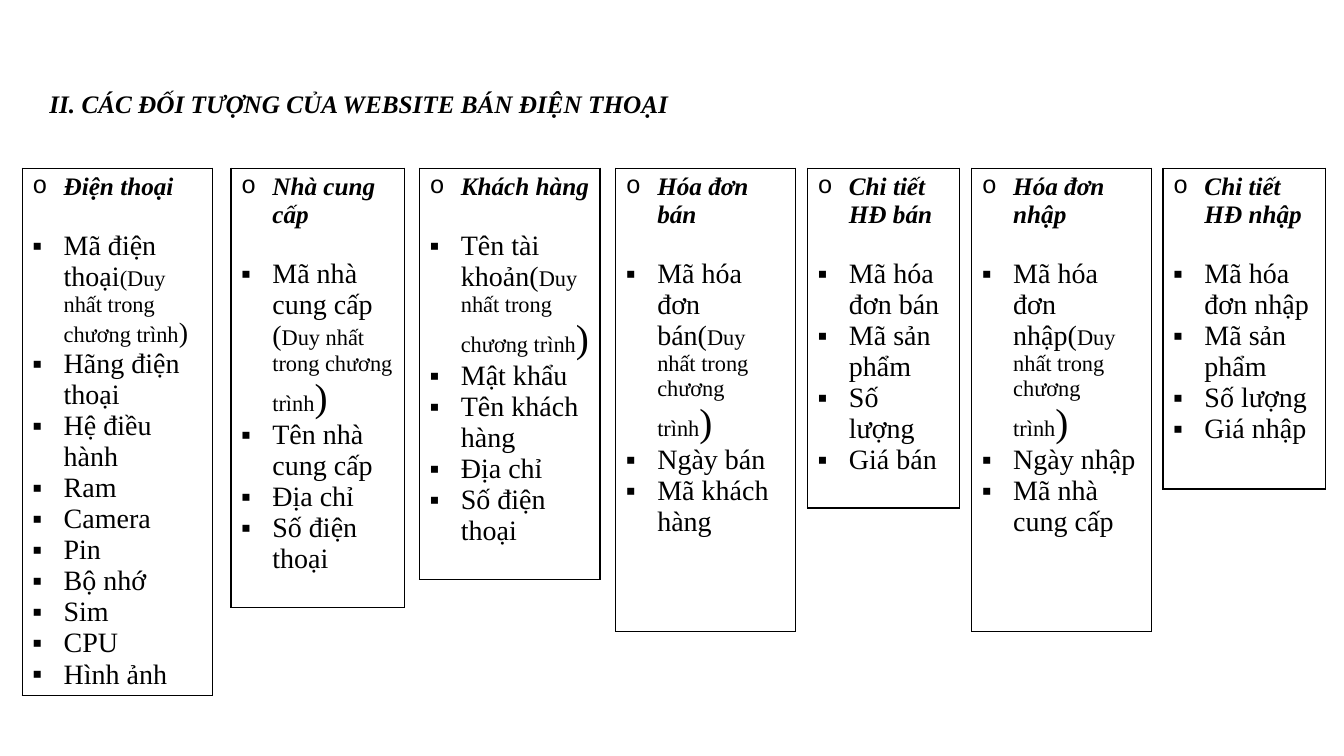
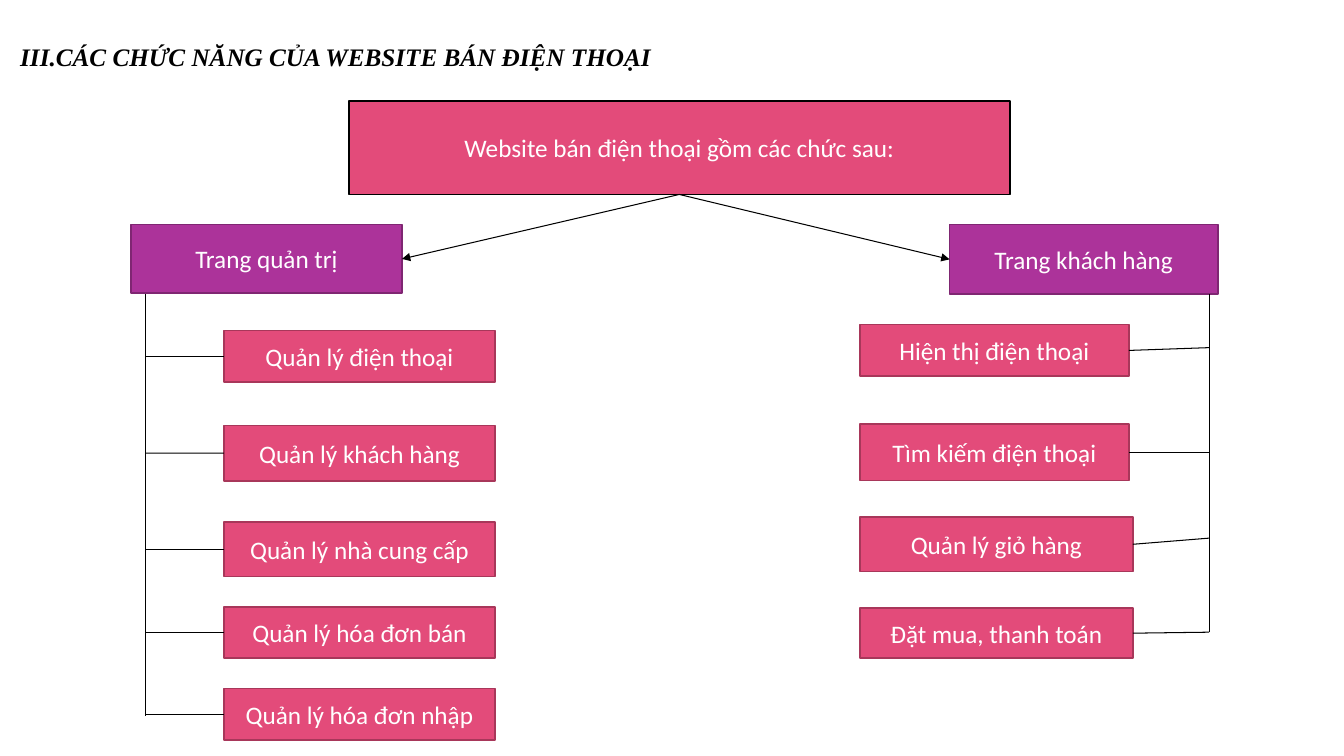
from pptx import Presentation
from pptx.dml.color import RGBColor
from pptx.enum.shapes import MSO_CONNECTOR, MSO_SHAPE
from pptx.enum.text import MSO_ANCHOR, MSO_AUTO_SIZE, PP_ALIGN
from pptx.oxml.ns import qn
from pptx.util import Cm, Pt
from lxml.etree import SubElement

COLORS = {
    "black": "000000",
    "white": "FFFFFF",
    "pink": "E34B7A",
    "pink_edge": "A8375A",
    "purple": "AC339A",
    "purple_edge": "7F2672",
}
SERIF = "Times New Roman"
SANS = "Calibri"
TOP, RIGHT, BOTTOM, LEFT = 0, 3, 2, 1


def style_run(run, font, size, color="black", strong=False):
    run.font.name = font
    run.font.size = Pt(size)
    run.font.bold = strong
    run.font.italic = strong
    run.font.color.rgb = RGBColor.from_string(COLORS[color])


def draw_line(page, x1, y1, x2, y2):
    line = page.shapes.add_connector(MSO_CONNECTOR.STRAIGHT, Cm(x1), Cm(y1), Cm(x2), Cm(y2))
    line.line.color.rgb = RGBColor.from_string(COLORS["black"])
    line.line.width = Pt(0.75)
    SubElement(line._element.spPr, qn("a:effectLst"))
    return line


deck = Presentation()
deck.slide_width = Cm(33.87)
deck.slide_height = Cm(19.05)

titles = [
    ("II. CÁC ĐỐI TƯỢNG CỦA WEBSITE BÁN ĐIỆN THOẠI", 0.56, 1.73, 16.97, 1.85),
    ("III.CÁC CHỨC NĂNG CỦA WEBSITE BÁN ĐIỆN THOẠI", 0, 0.69, 16.92, 1.55),
]
pages = []
for text, left, top, width, height in titles:
    page = deck.slides.add_slide(deck.slide_layouts[5])
    title = page.shapes.title
    title.left, title.top, title.width, title.height = Cm(left), Cm(top), Cm(width), Cm(height)
    frame = title.text_frame
    frame.text = text
    frame.word_wrap = True
    frame.auto_size = MSO_AUTO_SIZE.NONE
    frame.vertical_anchor = MSO_ANCHOR.MIDDLE
    para = frame.paragraphs[0]
    para.alignment = PP_ALIGN.CENTER
    para.line_spacing = 0.9
    style_run(para.runs[0], SERIF, 18, strong=True)
    pages.append(page)
objects_page, functions_page = pages

UNIQUE = "Duy nhất trong chương trình"
objects = [
    ("Điện thoại", 0.56, 4.8, 13.26,
     [[("Mã điện thoại", 20), ("(" + UNIQUE, 16), (")", 20)],
      "Hãng điện thoại", "Hệ điều hành", "Ram", "Camera", "Pin", "Bộ nhớ", "Sim", "CPU", "Hình ảnh"]),
    ("Nhà cung cấp", 5.82, 4.37, 11.07,
     [[("Mã nhà cung cấp (", 20), (UNIQUE, 16), (")", 28)],
      "Tên nhà cung cấp", "Địa chỉ", "Số điện thoại"]),
    ("Khách hàng", 10.57, 4.55, 10.36,
     [[("Tên tài khoản(", 20), (UNIQUE, 16), (")", 28)],
      "Mật khẩu", "Tên khách hàng", "Địa chỉ", "Số điện thoại"]),
    ("Hóa đơn bán", 15.52, 4.52, 11.68,
     [[("Mã hóa đơn bán(", 20), (UNIQUE, 16), (")", 28)],
      "Ngày bán", "Mã khách hàng"]),
    ("Chi tiết HĐ bán", 20.35, 3.84, 8.56,
     ["Mã hóa đơn bán", "Mã sản phẩm", "Số lượng", "Giá bán"]),
    ("Hóa đơn nhập", 24.49, 4.52, 11.68,
     [[("Mã hóa đơn nhập(", 20), (UNIQUE, 16), (")", 28)],
      "Ngày nhập", "Mã nhà cung cấp"]),
    ("Chi tiết HĐ nhập", 29.31, 4.09, 8.08,
     ["Mã hóa đơn nhập", "Mã sản phẩm", "Số lượng", "Giá nhập"]),
]
for name, left, width, height, fields in objects:
    table = objects_page.shapes.add_table(1, 1, Cm(left), Cm(4.24), Cm(width), Cm(height)).table
    table.first_row = False
    table.horz_banding = False
    cell = table.cell(0, 0)
    cell_properties = cell._tc.get_or_add_tcPr()
    for side in ("a:lnL", "a:lnR", "a:lnT", "a:lnB"):
        border = SubElement(cell_properties, qn(side), w=str(Pt(1)))
        SubElement(SubElement(border, qn("a:solidFill")), qn("a:srgbClr"), val=COLORS["black"])
    cell.fill.background()

    for index, entry in enumerate([name] + fields):
        heading = index == 0
        para = cell.text_frame.paragraphs[0] if heading else cell.text_frame.add_paragraph()
        pieces = [(entry, 18 if heading else 20)] if isinstance(entry, str) else entry
        for text, size in pieces:
            span = para.add_run()
            span.text = text
            style_run(span, SERIF, size, strong=heading)
        if heading:
            para.space_after = Pt(20.7)
        properties = para._p.get_or_add_pPr()
        properties.set("marL", str(Cm(0.79)))
        properties.set("indent", str(-Cm(0.79)))
        SubElement(properties, qn("a:buFont"), typeface="Courier New" if heading else SERIF)
        SubElement(properties, qn("a:buChar"), char="o" if heading else "▪")

admin_functions = [
    ("Quản lý điện thoại", 8.33, 1.3),
    ("Quản lý khách hàng", 10.72, 1.4),
    ("Quản lý nhà cung cấp", 13.16, 1.37),
    ("Quản lý hóa đơn bán", 15.29, 1.3),
    ("Quản lý hóa đơn nhập", 17.35, 1.3),
]
customer_functions = [
    ("Hiện thị điện thoại", 8.18, 6.78, 1.3, 8.76),
    ("Tìm kiếm điện thoại", 10.69, 6.78, 1.42, 11.4),
    ("Quản lý giỏ hàng", 13.03, 6.88, 1.37, 13.56),
    ("Đặt mua, thanh toán", 15.32, 6.88, 1.27, 15.93),
]
ROOT, ADMIN, CUSTOMER = "Website bán điện thoại gồm các chức sau:", "Trang quản trị", "Trang khách hàng"
ADMIN_X, CUSTOMER_X = 5.64, 21.67
boxes = [
    (ROOT, 8.79, 2.54, 16.66, 2.36, "pink", "black"),
    (ADMIN, 3.3, 5.66, 6.83, 1.73, "purple", "purple_edge"),
    (CUSTOMER, 23.93, 5.66, 6.76, 1.75, "purple", "purple_edge"),
]
for label, top, height in admin_functions:
    boxes.append((label, ADMIN_X, top, 6.84, height, "pink", "pink_edge"))
for label, top, width, height, joint in customer_functions:
    boxes.append((label, CUSTOMER_X, top, width, height, "pink", "pink_edge"))

shapes = {}
for label, left, top, width, height, fill, edge in boxes:
    box = functions_page.shapes.add_shape(MSO_SHAPE.RECTANGLE, Cm(left), Cm(top), Cm(width), Cm(height))
    box.shadow.inherit = False
    box.fill.solid()
    box.fill.fore_color.rgb = RGBColor.from_string(COLORS[fill])
    box.line.color.rgb = RGBColor.from_string(COLORS[edge])
    box.line.width = Pt(1.25)
    frame = box.text_frame
    frame.text = label
    frame.word_wrap = True
    frame.vertical_anchor = MSO_ANCHOR.MIDDLE
    frame.paragraphs[0].alignment = PP_ALIGN.CENTER
    style_run(frame.paragraphs[0].runs[0], SANS, 18, "white")
    shapes[label] = box

ADMIN_TRUNK, CUSTOMER_TRUNK = 3.66, 30.47
draw_line(functions_page, ADMIN_TRUNK, 7.42, ADMIN_TRUNK, 18.03)
for label, top, height in admin_functions:
    middle = top + height / 2
    draw_line(functions_page, ADMIN_TRUNK, middle, ADMIN_X, middle).end_connect(shapes[label], LEFT)

draw_line(functions_page, CUSTOMER_TRUNK, 7.42, CUSTOMER_TRUNK, 15.93)
for label, top, width, height, joint in customer_functions:
    branch = draw_line(functions_page, CUSTOMER_X + width, top + height / 2, CUSTOMER_TRUNK, joint)
    branch.begin_connect(shapes[label], RIGHT)

for label, site in ((ADMIN, RIGHT), (CUSTOMER, LEFT)):
    arrow = draw_line(functions_page, 17.12, 4.9, 17.12, 6.5)
    arrow.begin_connect(shapes[ROOT], BOTTOM)
    arrow.end_connect(shapes[label], site)
    SubElement(arrow.line._get_or_add_ln(), qn("a:tailEnd"), type="triangle")

deck.save("out.pptx")
